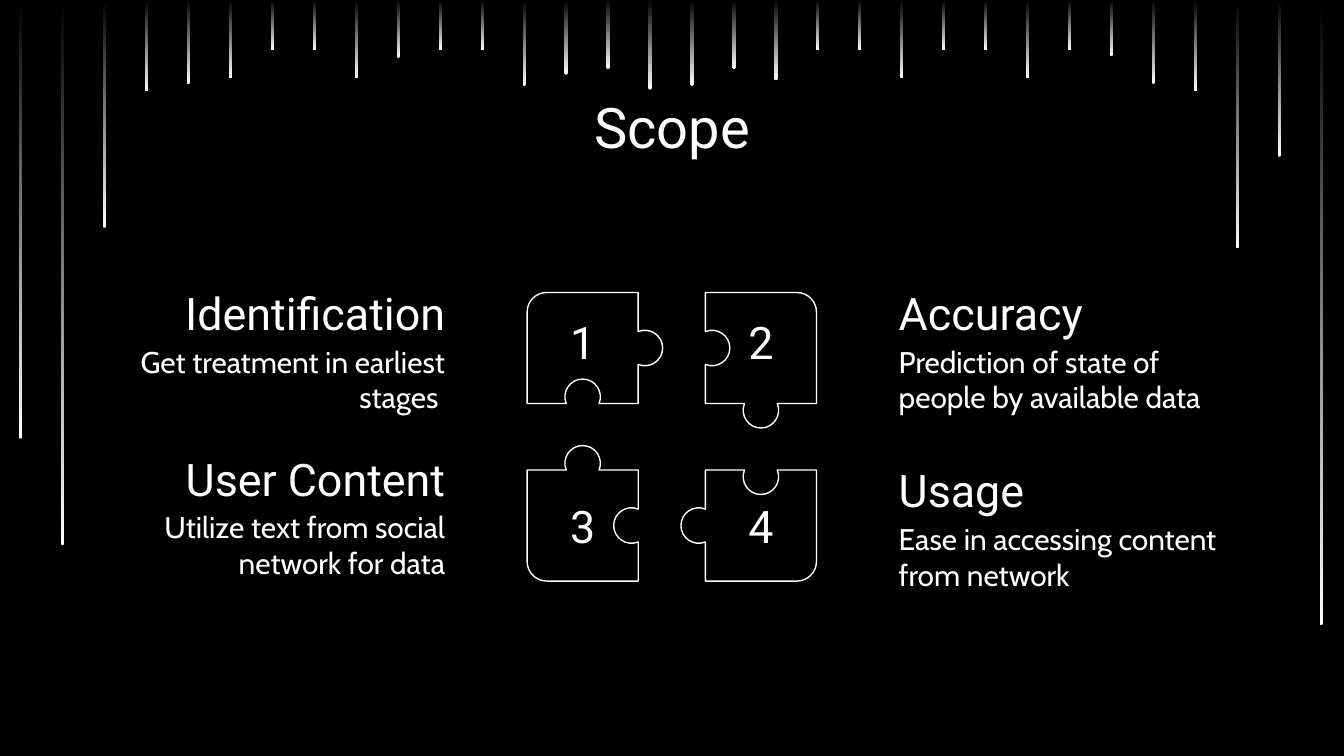
import math

import pptx
import pptx.dml.color
import pptx.enum.shapes
import pptx.enum.text
import pptx.oxml
import pptx.oxml.ns
import pptx.util

Pt = pptx.util.Pt
ALIGN = pptx.enum.text.PP_ALIGN
ANCHOR = pptx.enum.text.MSO_ANCHOR

WHITE, BLACK = "FFFFFF", "000000"
HEADING_FONT, BODY_FONT = "Roboto", "Cabin"

TITLE = "Scope"

# column, row, heading top, number top, sides (top, right, bottom, left: 1 knob,
# -1 socket, 0 flat), rounded corner (clockwise from top left), heading, detail
TOPICS = [
    (0, 0, 145.9, 165, (0, 1, -1, 0), 0, "Identification", "Get treatment in earliest stages "),
    (1, 0, 145.9, 165, (0, 0, 1, -1), 1, "Accuracy",
     "Prediction of state of people by available data"),
    (0, 1, 234.7, 263.5, (1, -1, 0, 0), 3, "User Content",
     "Utilize text from social network for data"),
    (1, 1, 240.9, 263.5, (-1, 0, 0, 1), 2, "Usage", "Ease in accessing content from network"),
]

# Lengths of the hanging light bars, left to right
BAR_LENGTHS = [235, 292, 122, 49, 45, 42, 27, 27, 42, 31, 27, 27, 46, 40, 37, 48,
               46, 37, 43, 27, 27, 42, 27, 27, 42, 27, 30, 45, 49, 133, 84, 335]
BAR_LEFT, BAR_PITCH, BAR_WIDTH = 10.2, 22.48, 1.7

PUZZLE_LEFT, PUZZLE_TOP = 282.4, 156.7
COLUMN_PITCH, ROW_PITCH = 95.5, 95.1
SIDE, CORNER_RADIUS = 59.5, 10.5
KNOB_RADIUS, KNOB_OFFSET = 9.5, 3.6

CAPTION_LEFTS, CAPTION_WIDTH = (56.2, 474.4), 189.4
DETAIL_DROP = 30.8
NUMBER_WIDTH, NUMBER_HEIGHT = 42.5, 36


def color(hex_string):
    return pptx.dml.color.RGBColor.from_string(hex_string)


def write(box, text, size, font_name, align, anchor=ANCHOR.TOP):
    frame = box.text_frame
    frame.word_wrap = True
    frame.auto_size = pptx.enum.text.MSO_AUTO_SIZE.NONE
    frame.vertical_anchor = anchor
    frame.margin_left = frame.margin_right = Pt(7.2)
    frame.margin_top = frame.margin_bottom = Pt(7.2)
    para = frame.paragraphs[0]
    para.text = text
    para.alignment = align
    para.font.size = Pt(size)
    para.font.name = font_name
    para.font.color.rgb = color(WHITE)


def add_text(page, left, top, width, height, *style):
    box = page.shapes.add_textbox(Pt(left), Pt(top), Pt(width), Pt(height))
    write(box, *style)


def add_bar(page, left, length):
    """Draw one light bar and move it to the layout, behind the slide content."""
    bar = page.shapes.add_shape(pptx.enum.shapes.MSO_SHAPE.ROUNDED_RECTANGLE,
                                Pt(left), 0, Pt(BAR_WIDTH), Pt(length))
    bar.adjustments[0] = 0.5
    bar.shadow.inherit = False
    bar.line.fill.background()
    bar.fill.gradient()
    bar.fill.gradient_angle = 90
    for stop, shade in zip(bar.fill.gradient_stops, (WHITE, BLACK)):
        stop.color.rgb = color(shade)
    page.slide_layout.element.cSld.spTree.append(bar.element)


def arc(center_along, center_out, radius, start, end):
    """Start point, two control points and end point of a Bezier arc."""
    start, end = math.radians(start), math.radians(end)
    pull = 4 / 3 * math.tan((end - start) / 4)
    unit = [(math.cos(start), math.sin(start)),
            (math.cos(start) - pull * math.sin(start), math.sin(start) + pull * math.cos(start)),
            (math.cos(end) + pull * math.sin(end), math.sin(end) - pull * math.cos(end)),
            (math.cos(end), math.sin(end))]
    return [(center_along + radius * x, center_out + radius * y) for x, y in unit]


def side_segments(knob, rounded):
    """Runs of points, as (distance along the side, distance outward)."""
    if rounded:
        corner = arc(CORNER_RADIUS, -CORNER_RADIUS, CORNER_RADIUS, 180, 90)
        segments = [corner[:1], corner[1:]]
    else:
        segments = [[(0, 0)]]
    if knob:
        neck = math.degrees(math.asin(KNOB_OFFSET / KNOB_RADIUS))
        rise = arc(SIDE / 2, KNOB_OFFSET, KNOB_RADIUS, 180 + neck, 90)
        fall = arc(SIDE / 2, KNOB_OFFSET, KNOB_RADIUS, 90, -neck)
        segments += [[(along, knob * out) for along, out in run]
                     for run in (rise[:1], rise[1:], fall[1:])]
    return segments


def curve_runs(piece, segments):
    """Turn each run of three line ends into one Bezier curve."""
    lines = iter(piece.element.findall(".//" + pptx.oxml.ns.qn("a:lnTo")))
    for segment in segments:
        steps = [next(lines) for point in segment]
        if len(steps) == 3:
            curve = pptx.oxml.parse_xml(
                "<a:cubicBezTo %s/>" % pptx.oxml.ns.nsdecls("a"))
            steps[0].addprevious(curve)
            for step in steps:
                curve.append(step[0])
                step.getparent().remove(step)


def add_piece(page, center_x, center_y, sides, rounded_corner):
    outline = []
    for index, knob in enumerate(sides):
        cos, sin = ((1, 0), (0, 1), (-1, 0), (0, -1))[index]
        for segment in side_segments(knob, index == rounded_corner):
            local = [(along - SIDE / 2, out + SIDE / 2) for along, out in segment]
            outline.append([(Pt(center_x + along * cos + out * sin),
                             Pt(center_y + along * sin - out * cos)) for along, out in local])
    builder = page.shapes.build_freeform(*outline[0][0])
    builder.add_line_segments([point for segment in outline[1:] for point in segment], close=True)
    piece = builder.convert_to_shape()
    curve_runs(piece, outline[1:])
    piece.shadow.inherit = False
    piece.fill.background()
    piece.line.color.rgb = color(WHITE)
    piece.line.width = Pt(0.75)


def main():
    deck = pptx.Presentation()
    deck.slide_width, deck.slide_height = Pt(720), Pt(405)
    page = deck.slides.add_slide(deck.slide_layouts[5])
    page.background.fill.solid()
    page.background.fill.fore_color.rgb = color(BLACK)

    for index, length in enumerate(BAR_LENGTHS):
        add_bar(page, BAR_LEFT + index * BAR_PITCH, length)

    title = page.shapes.title
    title.left, title.top, title.width, title.height = Pt(56.2), Pt(42.5), Pt(607.6), Pt(45.4)
    write(title, TITLE, 30, HEADING_FONT, ALIGN.CENTER)

    for number, topic in enumerate(TOPICS, start=1):
        column, row, heading_top, number_top, sides, rounded_corner, heading, detail = topic
        center_x = PUZZLE_LEFT + column * COLUMN_PITCH + SIDE / 2
        center_y = PUZZLE_TOP + row * ROW_PITCH + SIDE / 2
        add_piece(page, center_x, center_y, sides, rounded_corner)
        add_text(page, center_x - NUMBER_WIDTH / 2, number_top, NUMBER_WIDTH, NUMBER_HEIGHT,
                 str(number), 24, HEADING_FONT, ALIGN.CENTER, ANCHOR.MIDDLE)
        left, align = CAPTION_LEFTS[column], (ALIGN.RIGHT, ALIGN.LEFT)[column]
        add_text(page, left, heading_top, CAPTION_WIDTH, 38.9,
                 heading, 24, HEADING_FONT, align)
        add_text(page, left, heading_top + DETAIL_DROP, CAPTION_WIDTH, 50.4,
                 detail, 16, BODY_FONT, align)

    deck.save("out.pptx")


if __name__ == "__main__":
    main()
